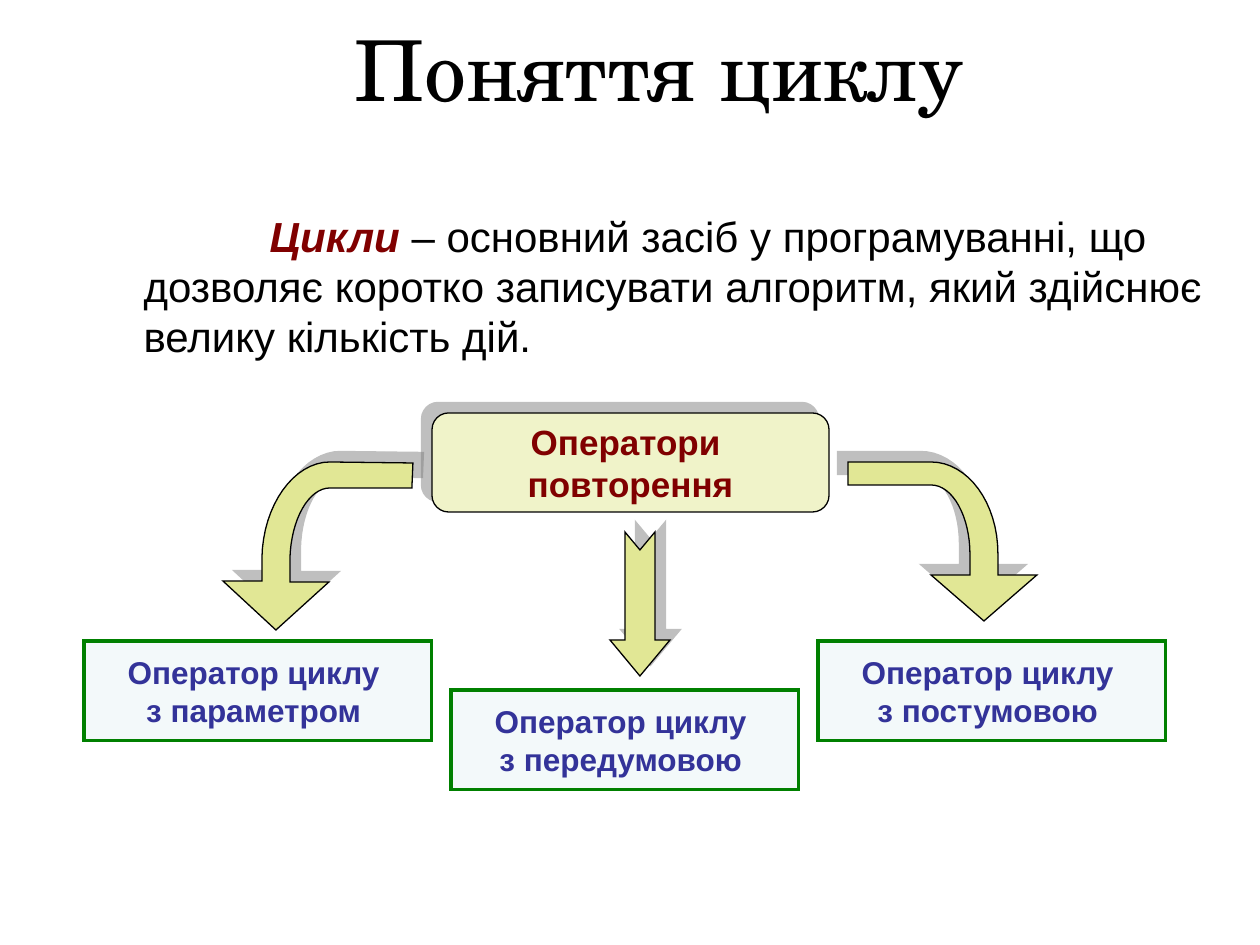
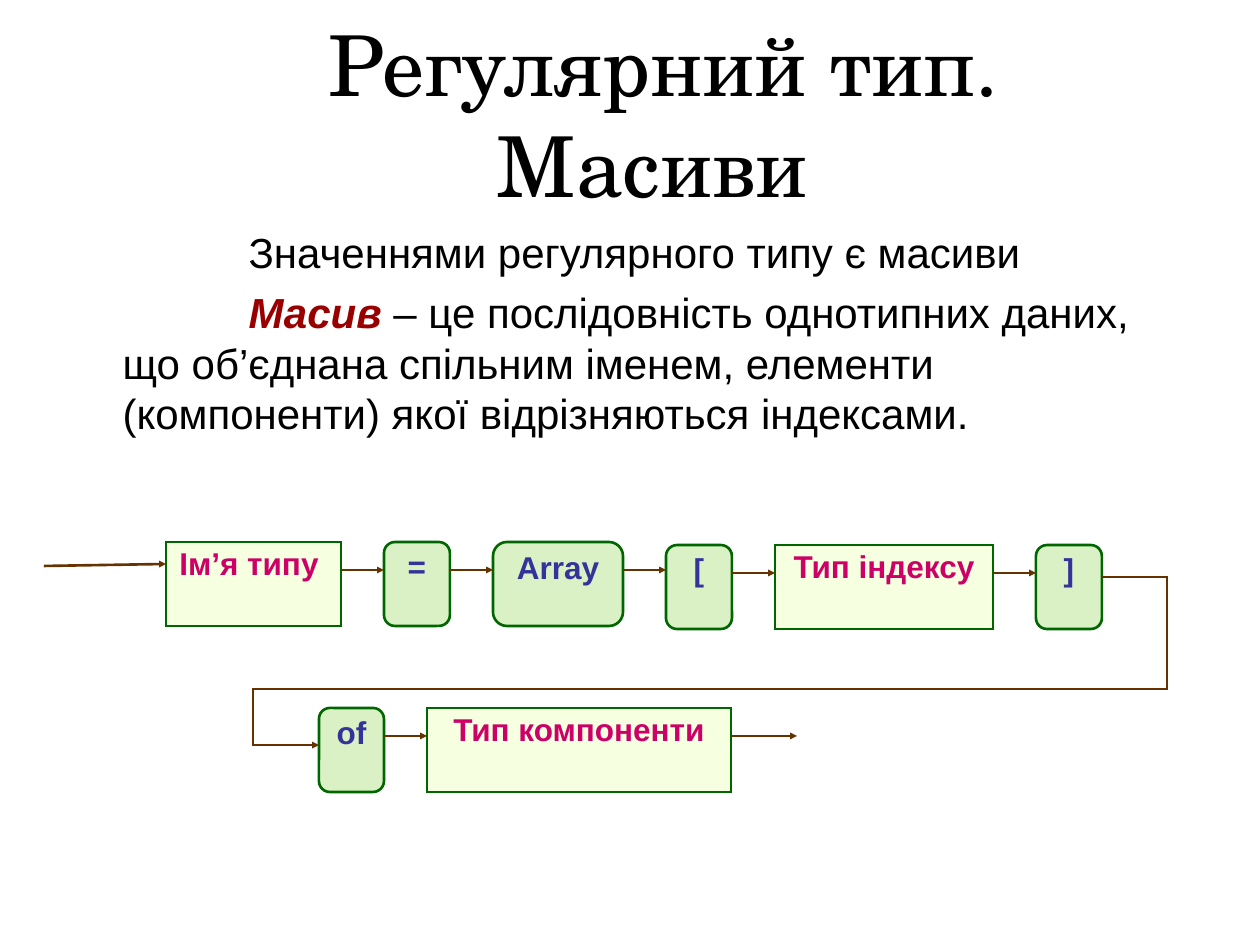
from dataclasses import dataclass

from lxml import etree
from pptx import Presentation, util as u
from pptx.dml.color import RGBColor
from pptx.enum import shapes, text
from pptx.oxml.ns import qn

PX = 914400 / 126
KIND = shapes.MSO_SHAPE
MID, TOP = text.MSO_ANCHOR.MIDDLE, text.MSO_ANCHOR.TOP


@dataclass(frozen=True)
class Theme:
    head: str = "TeX Gyre Schola"
    body: str = "Arial"
    ink: str = "000000"
    maroon: str = "800000"
    red: str = "990000"
    indigo: str = "333399"
    pink: str = "CC0066"
    brown: str = "663300"
    green: str = "006600"
    arrow: str = "E1E795"
    shade: str = "808080"
    title_pt: int = 48
    body_pt: int = 24
    root_pt: int = 20
    node_pt: int = 18


T = Theme()

# Looks: fill, opacity %, line, line width, text colour, text size
ROOT = ("F0F3C9", 100, T.ink, 0.75, T.maroon, T.root_pt)
LEAF = ("BBE0E3", 17, "008000", 1.75, T.indigo, T.node_pt)
TYPE = ("EFFFC1", 50, T.green, 1.5, T.pink, T.node_pt)
WORD = ("B6E38D", 50, T.green, 1.5, T.indigo, T.node_pt)
ARROW = (T.arrow, 100, T.ink, 0.75, T.ink, T.node_pt)

# Slide 1: the idea of a loop
LOOP = {
    "title": ("Поняття циклу", (143, 0, 1032, 135)),
    "at": (84, 204, 1134, 624),
    "body": [("Цикли", T.maroon,
              " – основний засіб у програмуванні, що дозволяє коротко "
              "записувати алгоритм, який здійснює велику кількість дій.")],
}
HUB = (["Оператори ", "повторення"], (432, 413, 397, 99))
LEAVES = [
    (["Оператор циклу ", "з параметром "], 84, 641),
    (["Оператор циклу ", "з постумовою "], 818, 641),
    (["Оператор циклу ", "з передумовою "], 451, 690),
]
LEAF_W, LEAF_H = 348, 100
# Outlines: shadow angle, then points; six numbers make a curve
ARROWS = [
    (315, [(655, 532), (655, 640), (670, 640), (640, 676), (610, 640),
           (625, 640), (625, 532), (640, 550)]),
    (315, [(413, 463), (330, 462), (294, 462, 263, 505, 262, 558),
           (262, 581), (223, 581), (276, 630), (329, 582), (290, 582),
           (290, 559), (291, 519, 309, 488, 330, 488), (412, 488)]),
    (225, [(848, 462), (931, 462), (968, 462, 998, 503, 998, 554),
           (998, 575), (1037, 575), (984, 621), (931, 575), (970, 575),
           (970, 554), (970, 517, 953, 485, 931, 485), (848, 485)]),
]

# Slide 2: arrays and their syntax
ARRAY = {
    "title": ("Регулярний тип. Масиви ", (203, 46, 922, 135)),
    "at": (63, 220, 1134, 624),
    "body": [("", T.ink, "Значеннями регулярного типу є масиви"),
             ("Масив", T.red,
              " – це послідовність однотипних даних, що об’єднана спільним "
              "іменем, елементи (компоненти) якої відрізняються індексами.")],
}
# Rows: left edge, then nodes of (text, look, width, top)
ROWS = [
    (166, [("Ім’я типу ", TYPE, 175, 542), ("=", WORD, 66, 542),
           ("Array", WORD, 130, 542), ("[", WORD, 66, 545),
           ("Тип індексу", TYPE, 218, 545), ("]", WORD, 66, 545)]),
    (319, [("of", WORD, 65, 708), ("Тип компоненти", TYPE, 304, 708)]),
]
NODE_H, GAP, DROP = 84, 43, 28
ENDS = [((44, 566), (166, 564)), ((731, 736), (797, 736))]
TURN = [(1101, 577), (1167, 577), (1167, 689), (253, 689), (253, 745),
        (319, 745)]


def emu(*vals):
    return [u.Emu(round(v * PX)) for v in vals]


def rgb(code):
    return RGBColor.from_string(code)


def sub(node, tag, **attrs):
    return etree.SubElement(node, qn(tag), {k: str(v) for k, v in attrs.items()})


def put(obj, **vals):
    for key, val in vals.items():
        setattr(obj, key, val)


def write(para, words, color, size, name=T.body, **more):
    run = para.add_run()
    run.text = words
    put(run.font, name=name, size=u.Pt(size), **more)
    run.font.color.rgb = rgb(color)


def frame(shape, pad, anchor, wrap=True):
    side, edge = emu(*pad)
    box = shape.text_frame
    put(box, margin_left=side, margin_right=side, margin_top=edge,
        margin_bottom=edge, vertical_anchor=anchor, word_wrap=wrap)
    return box


def stroke(shape, color, width):
    """Draw the line with sharp corners and return its element."""
    shape.line.color.rgb = rgb(color)
    shape.line.width = u.Pt(width)
    line = shape.line._get_or_add_ln()
    sub(line, "a:miter", lim=800000)
    return line


def paint(shape, look, angle=None):
    fill, alpha, line, width = look[:4]
    shape.shadow.inherit = False
    shape.fill.solid()
    shape.fill.fore_color.rgb = rgb(fill)
    props = shape._element.spPr
    if alpha < 100:
        sub(props.find(qn("a:solidFill"))[0], "a:alpha", val=alpha * 1000)
    stroke(shape, line, width)
    if angle is not None:
        cast = sub(props.find(qn("a:effectLst")), "a:outerShdw", blurRad=0,
                   dist=u.Pt(8.5), dir=angle * 60000, algn="ctr", rotWithShape=0)
        sub(sub(cast, "a:srgbClr", val=T.shade), "a:alpha", val=50000)


def node(slide, kind, at, look, lines, pad, anchor, wrap=True, angle=None):
    shape = slide.shapes.add_shape(kind, *emu(*at))
    paint(shape, look, angle)
    box = frame(shape, pad, anchor, wrap)
    for i, words in enumerate(lines):
        para = box.add_paragraph() if i else box.paragraphs[0]
        para.alignment = text.PP_ALIGN.CENTER
        write(para, words, look[4], look[5], bold=True)
    return shape


def trace(points):
    """Turn corners and cubic curves into plain vertices."""
    out = []
    for pt in points:
        if len(pt) == 2:
            out.append(pt)
            continue
        ctrl = [out[-1], pt[:2], pt[2:4], pt[4:]]
        for step in range(1, 17):
            t = step / 16
            mix = ((1 - t) ** 3, 3 * t * (1 - t) ** 2, 3 * t * t * (1 - t), t ** 3)
            out.append(tuple(sum(m * c[d] for m, c in zip(mix, ctrl))
                             for d in (0, 1)))
    return out


def outline(slide, points, close):
    first, *rest = [emu(*pt) for pt in trace(points)]
    pen = slide.shapes.build_freeform(*first)
    pen.add_line_segments(rest, close=close)
    return pen.convert_to_shape()


def tip(shape):
    line = stroke(shape, T.brown, 1.5)
    sub(line, "a:tailEnd", type="triangle", w="sm", len="sm")


def link(slide, start, end):
    line = slide.shapes.add_connector(shapes.MSO_CONNECTOR.STRAIGHT,
                                      *emu(*start, *end))
    tip(line)
    sub(line._element.spPr, "a:effectLst")


def page(deck, data):
    """Start a slide with its title and its indented body text."""
    slide = deck.slides.add_slide(deck.slide_layouts[6])
    words, at = data["title"]
    para = frame(slide.shapes.add_textbox(*emu(*at)), (0, 0), MID).paragraphs[0]
    para.alignment = text.PP_ALIGN.CENTER
    write(para, words, T.ink, T.title_pt, T.head)

    box = frame(slide.shapes.add_textbox(*emu(*data["at"])), (13, 6), TOP)
    for i, (term, color, rest) in enumerate(data["body"]):
        para = box.add_paragraph() if i else box.paragraphs[0]
        if i:
            para.space_before = u.Pt(6)
        # Hanging indent; the second tab lands one inch past it
        props = para._p.get_or_add_pPr()
        for key, inch in {"marL": 0.37, "indent": -0.37, "defTabSz": 1}.items():
            props.set(key, str(u.Inches(inch)))
        write(para, "\t\t" + term, color, T.body_pt, bold=True, italic=bool(term))
        write(para, rest, T.ink, T.body_pt)
    return slide


def loops(deck):
    slide = page(deck, LOOP)
    for lines, x, y in LEAVES:
        node(slide, KIND.RECTANGLE, (x, y, LEAF_W, LEAF_H), LEAF, lines,
             (13, 6), MID, wrap=False)
    lines, at = HUB
    node(slide, KIND.FLOWCHART_ALTERNATE_PROCESS, at, ROOT, lines, (13, 6), MID,
         angle=225)
    for angle, points in ARROWS:
        paint(outline(slide, points, True), ARROW, angle)


def arrays(deck):
    slide = page(deck, ARRAY)
    # Nodes, each joined to the one before it
    for left, row in ROWS:
        x = left
        for words, look, wide, y in row:
            kind = KIND.RECTANGLE if look is TYPE else KIND.ROUNDED_RECTANGLE
            shape = node(slide, kind, (x, y, wide, NODE_H), look, [words],
                         (1, 2), TOP)
            if look is WORD:
                shape.adjustments[0] = 0.167
            if x > left:
                # "[" is reached at the height of the node before it
                level = (prior if words == "[" else y) + DROP
                link(slide, (x - GAP, level), (x, level))
            x, prior = x + wide + GAP, y
    # Way in, way out and the turn to the second row
    for start, end in ENDS:
        link(slide, start, end)
    turn = outline(slide, TURN, False)
    turn.shadow.inherit = False
    turn.fill.background()
    tip(turn)


def main():
    deck = Presentation()
    deck.slide_width, deck.slide_height = emu(1260, 945)
    loops(deck)
    arrays(deck)
    deck.save("out.pptx")


if __name__ == "__main__":
    main()
